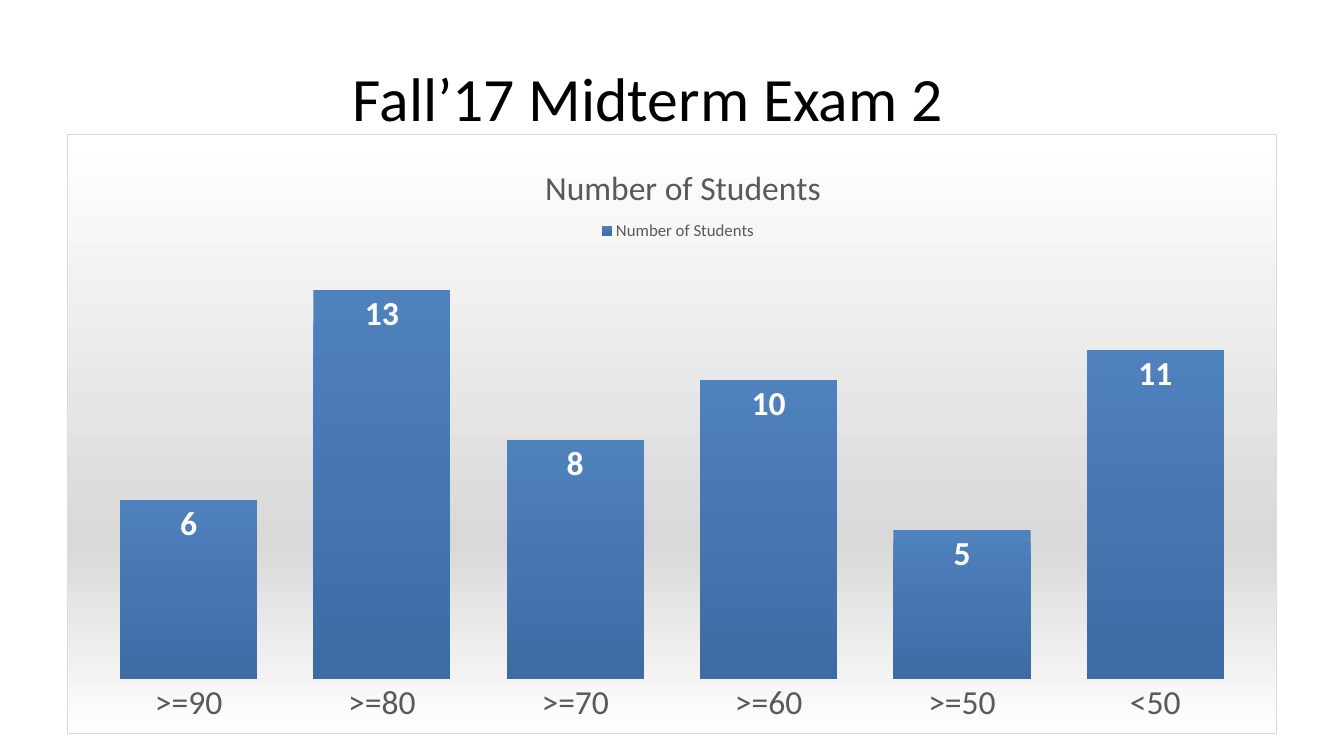
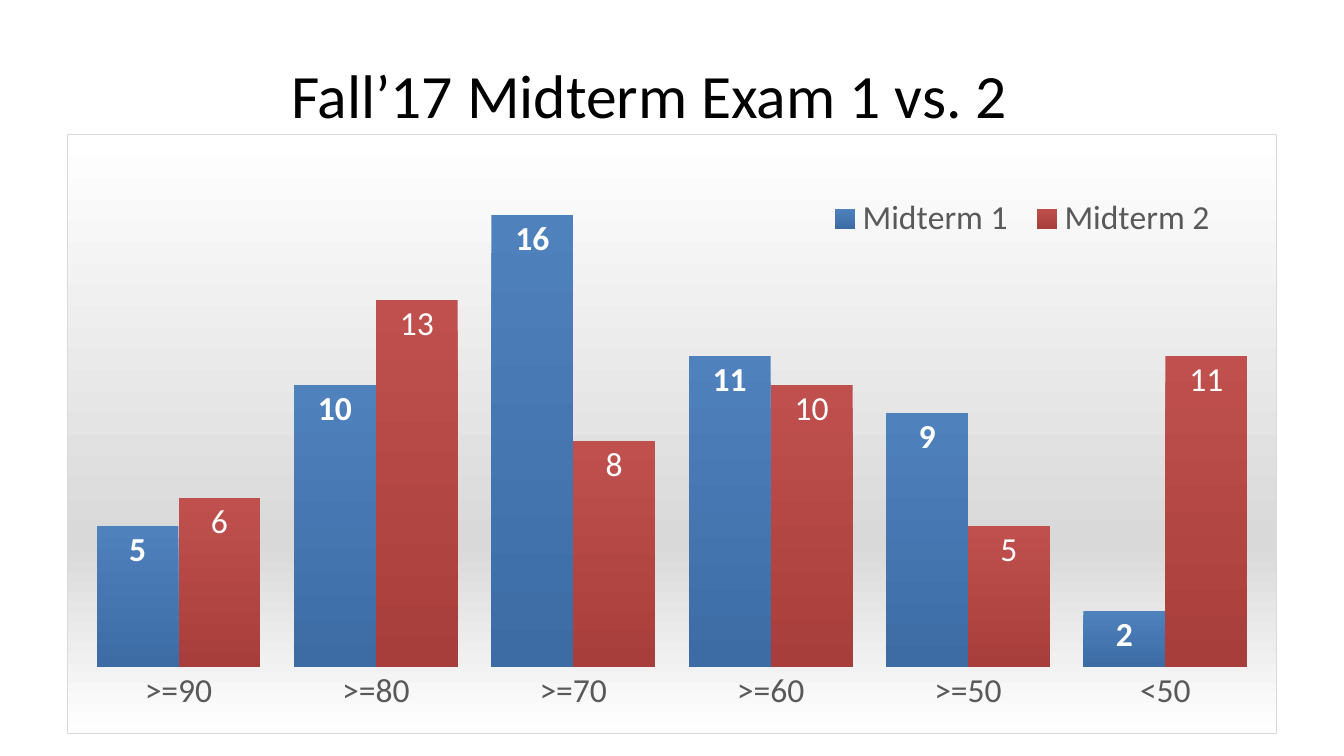
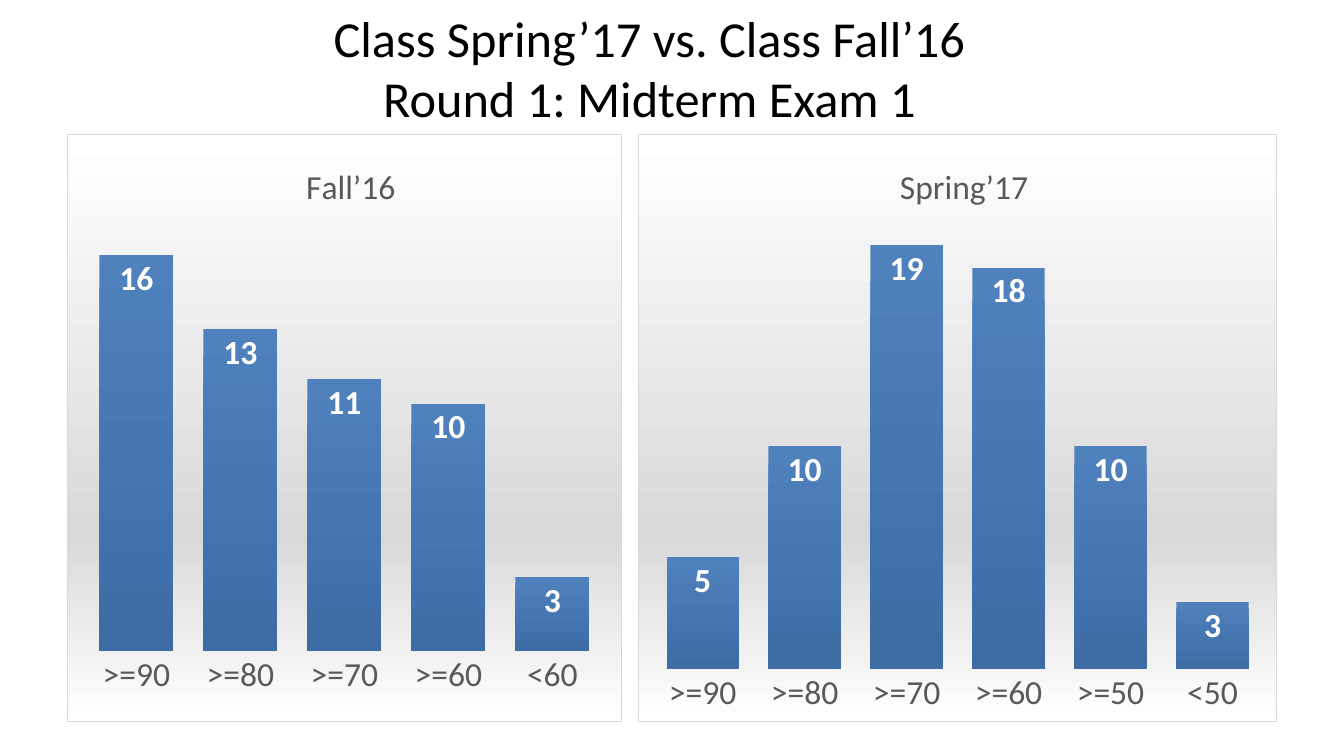
from dataclasses import dataclass

from lxml.etree import SubElement
from pptx import Presentation
from pptx.chart.data import CategoryChartData
from pptx.dml.color import RGBColor
from pptx.enum.chart import XL_CHART_TYPE as CT, XL_LABEL_POSITION as LP
from pptx.enum.chart import XL_LEGEND_POSITION as LEG, XL_TICK_MARK as TM
from pptx.enum.text import MSO_ANCHOR, PP_ALIGN
from pptx.oxml import parse_xml
from pptx.oxml.ns import nsdecls, qn
from pptx.util import Pt


@dataclass(frozen=True)
class Theme:
    font: str = "Calibri"
    black: str = "000000"
    gray: str = "595959"
    white: str = "FFFFFF"
    border: str = "D9D9D9"
    title: int = 44
    title_small: int = 36
    label: int = 24
    legend_small: int = 12
    base: int = 10
    panel: tuple = ((0, "FFFFFF"), (68, "D9D9D9"), (100, "FFFFFF"))
    bars: tuple = (((0, "4F81BD"), (100, "3D6CA4")),
                   ((0, "C0504D"), (100, "A73E3B")))


T = Theme()
GRADES = (">=90", ">=80", ">=70", ">=60", ">=50", "<50")
MIDTERM_2 = (6, 13, 8, 10, 5, 11)


def set_font(font, color, **values):
    for name, value in values.items():
        setattr(font, name, value)
    font.color.rgb = RGBColor.from_string(color)


def gradient(stops):
    """Return a top-to-bottom a:gradFill for (percent, colour) stops."""
    gs = "".join(f'<a:gs pos="{pos * 1000}"><a:srgbClr val="{color}"/></a:gs>'
                 for pos, color in stops)
    return parse_xml(f'<a:gradFill {nsdecls("a")} rotWithShape="1"><a:gsLst>{gs}'
                     '</a:gsLst><a:lin ang="5400000" scaled="0"/></a:gradFill>')


def set_layout(owner, x, y, w=None, h=None, inner=False):
    """Place a chart part by fractions of the chart's size."""
    layout = parse_xml(f'<c:layout {nsdecls("c")}><c:manualLayout/></c:layout>')
    values = {"layoutTarget": "inner" if inner else None,
              "xMode": "edge", "yMode": "edge", "x": x, "y": y, "w": w, "h": h}
    for tag, value in values.items():
        if value is not None:
            SubElement(layout[0], qn(f"c:{tag}")).set("val", str(value))
    old, overlay = owner.find(qn("c:layout")), owner.find(qn("c:overlay"))
    if old is not None:
        owner.replace(old, layout)
    elif overlay is not None:
        overlay.addprevious(layout)
    else:
        owner.insert(0, layout)


def fill_panel(chart):
    sp_pr = parse_xml(
        f'<c:spPr {nsdecls("c", "a")}><a:ln w="{Pt(0.75)}"><a:solidFill>'
        f'<a:srgbClr val="{T.border}"/></a:solidFill></a:ln></c:spPr>')
    sp_pr.insert(0, gradient(T.panel))
    chart._chartSpace.chart.addnext(sp_pr)


def add_title(s, text, box, size=T.title):
    tf = s.shapes.add_textbox(*map(Pt, box)).text_frame
    tf.word_wrap = True
    tf.vertical_anchor = MSO_ANCHOR.MIDDLE
    p = tf.paragraphs[0]
    p.text = text
    p.alignment = PP_ALIGN.CENTER
    set_font(p.font, T.black, size=Pt(size), name=T.font)


def add_columns(s, box, cats, series, plot, top):
    """Add a column chart; series holds (name, values, bold labels)."""
    data = CategoryChartData()
    data.categories = cats
    for name, values, _ in series:
        data.add_series(name, values)
    chart = s.shapes.add_chart(CT.COLUMN_CLUSTERED, *map(Pt, box), data).chart
    set_font(chart.font, T.black, size=Pt(T.base))
    fill_panel(chart)
    chart.has_title = chart.has_legend = False

    axis = chart.value_axis
    for name, value in {"visible": False, "has_major_gridlines": False,
                        "minimum_scale": 0, "maximum_scale": top}.items():
        setattr(axis, name, value)
    axis = chart.category_axis
    axis.major_tick_mark = TM.NONE
    axis.format.line.fill.background()
    set_font(axis.tick_labels.font, T.gray, size=Pt(T.label))

    columns = chart.plots[0]
    columns.gap_width = 41
    columns.vary_by_categories = False
    for ser, stops, (_, _, bold) in zip(columns.series, T.bars, series):
        ser._element.get_or_add_spPr().append(gradient(stops))
        labels = ser.data_labels
        labels.show_value = True
        labels.position = LP.INSIDE_END
        set_font(labels.font, T.white, size=Pt(T.label), name=T.font, bold=bold)
    set_layout(chart._chartSpace.chart.plotArea, *plot, inner=True)
    return chart


def add_chart_title(chart, text, x):
    chart.has_title = True
    title = chart.chart_title
    p = title.text_frame.paragraphs[0]
    p.text = text
    set_font(p.runs[0].font, T.gray, size=Pt(T.label), name=T.font, bold=False)
    set_layout(title._element, x, 0.04)


def add_legend(chart, place, **font):
    chart.has_legend = True
    legend = chart.legend
    legend.position = LEG.TOP
    legend.include_in_layout = False
    set_font(legend.font, T.gray, **font)
    set_layout(legend._element, *place)


def midterm_2_slide(s):
    add_title(s, "Fall’17 Midterm Exam 2", (47, 24, 832, 90))
    name = "Number of Students"
    chart = add_columns(s, (48, 96, 864, 428), GRADES, [(name, MIDTERM_2, True)],
                        (0.02, 0.21, 0.96, 0.7), 14)
    add_chart_title(chart, name, 0.39)
    add_legend(chart, (0.43, 0.14, 0.15, 0.04), size=Pt(T.legend_small))


def midterms_slide(s):
    add_title(s, "Fall’17 Midterm Exam 1 vs. 2", (48, 22, 832, 90))
    chart = add_columns(s, (48, 96, 864, 428), GRADES,
                        [("Midterm 1", (5, 10, 16, 11, 9, 2), True),
                         ("Midterm 2", MIDTERM_2, False)],
                        (0.01, 0.04, 0.98, 0.85), 18)
    add_legend(chart, (0.62, 0.1, 0.34, 0.08), size=Pt(T.label), name=T.font)


def classes_slide(s):
    add_title(s, "Class Spring’17 vs. Class Fall’16\vRound 1: Midterm Exam 1",
              (48, 0, 832, 96), T.title_small)
    classes = (
        ("Fall’16", 0.42, 48, 396, GRADES[:4] + ("<60",), (16, 13, 11, 10, 3),
         (0.03, 0.12, 0.94, 0.76), 18),
        ("Spring’17", 0.4, 456, 456, GRADES, (5, 10, 19, 18, 10, 3),
         (0.02, 0.15, 0.96, 0.76), 20),
    )
    for name, title_x, left, width, cats, values, plot, top in classes:
        chart = add_columns(s, (left, 96, width, 420), cats,
                            [("Series 1", values, True)], plot, top)
        add_chart_title(chart, name, title_x)


def main():
    prs = Presentation()
    prs.slide_width, prs.slide_height = Pt(960), Pt(540)
    for build in (midterm_2_slide, midterms_slide, classes_slide):
        build(prs.slides.add_slide(prs.slide_layouts[6]))
    prs.save("out.pptx")


if __name__ == "__main__":
    main()
